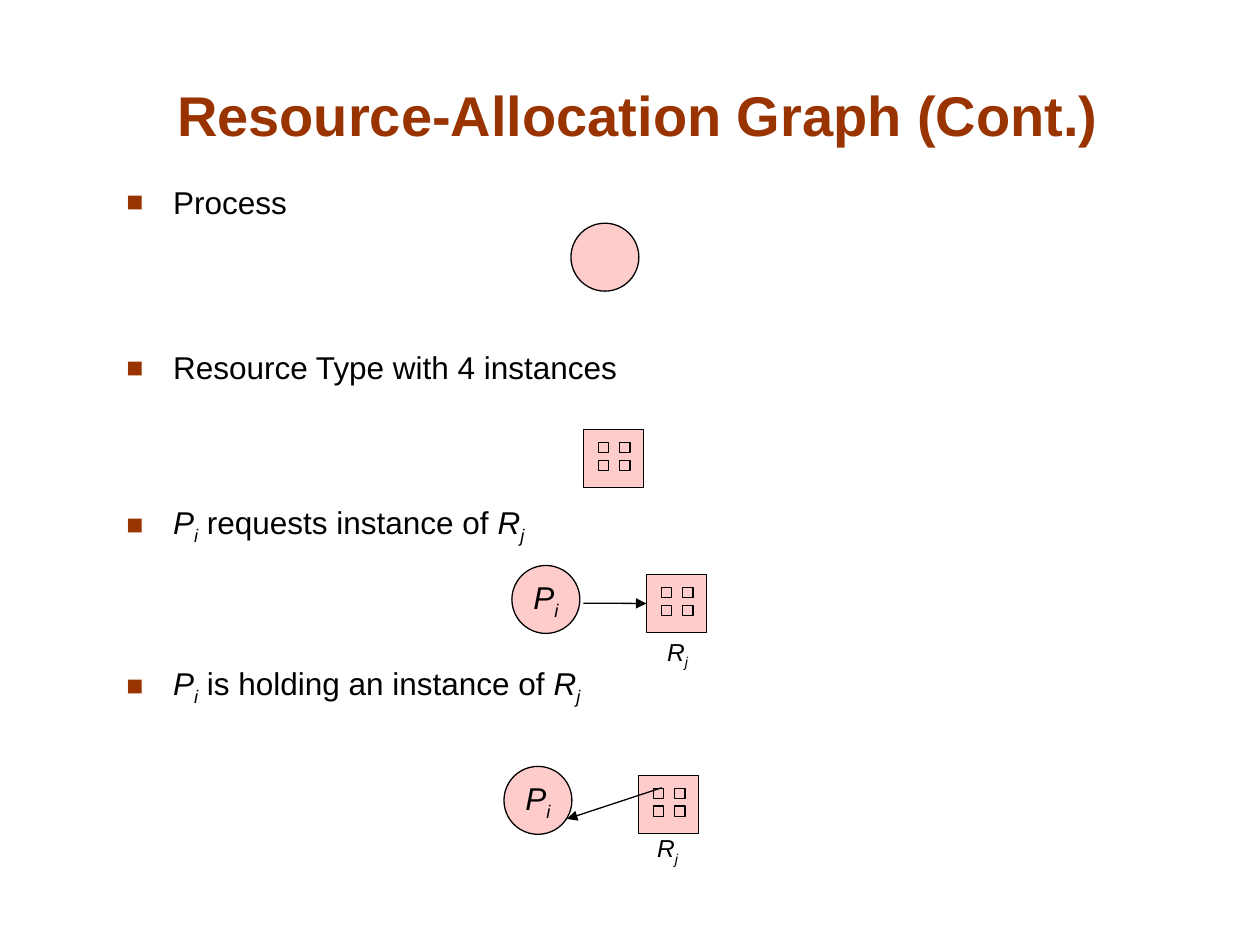
from lxml import etree
from pptx import Presentation
from pptx import util as u
from pptx.dml.color import RGBColor
from pptx.enum import shapes, text
from pptx.oxml import ns

COLOURS = {"title": "993300", "ink": "000000", "node": "FFCCCC"}
PROCESS = [("P", "italic"), ("i", "sub")]
RESOURCE = [("R", "italic"), ("j", "sub")]
BULLETS = [
    (0, [("Process", "")]),
    (73, [("Resource Type with 4 instances", "")]),
    (66.8, PROCESS + [(" requests instance of ", "")] + RESOURCE),
    (67.5, PROCESS + [(" is holding an instance of ", "")] + RESOURCE),
]


def colour(name):
    """Return the named colour."""
    return RGBColor.from_string(COLOURS[name])


def add_spans(para, spans, size, ink="ink", bold=False):
    """Write styled spans into a paragraph."""
    for words, style in spans:
        span = para.add_run()
        span.text = words
        span.font.name, span.font.size = "Arial", u.Pt(size)
        span.font.bold, span.font.italic = bold, style != ""
        span.font.color.rgb = colour(ink)
        if style == "sub":
            span.font._element.set("baseline", "-25000")


def add_centred(frame, spans, size):
    """Centre unwrapped spans in a text frame."""
    frame.word_wrap = False
    frame.vertical_anchor = text.MSO_ANCHOR.MIDDLE
    frame.paragraphs[0].alignment = text.PP_ALIGN.CENTER
    add_spans(frame.paragraphs[0], spans, size)


def add_node(parent, kind, left, top, width, height):
    """Add an outlined pink shape."""
    node = parent.add_shape(kind, u.Cm(left), u.Cm(top), u.Cm(width), u.Cm(height))
    node.shadow.inherit = False
    node.fill.solid()
    node.fill.fore_color.rgb = colour("node")
    node.line.color.rgb = colour("ink")
    node.line.width = u.Pt(0.75)
    return node


def add_process(page, left, top, spans=()):
    """Draw a process circle with an optional name."""
    circle = add_node(page.shapes, shapes.MSO_SHAPE.OVAL, left, top, 1.37, 1.37)
    add_centred(circle.text_frame, spans, 18)


def add_resource(page, left, top):
    """Draw a resource square with four instances and return its frame."""
    group = page.shapes.add_group_shape()
    square = shapes.MSO_SHAPE.RECTANGLE
    frame = add_node(group.shapes, square, left, top, 1.22, 1.17)
    for row in range(2):
        for column in range(2):
            add_node(group.shapes, square, left + 0.3 + 0.43 * column,
                     top + 0.26 + 0.36 * row, 0.21, 0.21)
    return frame


def add_arrow(page, start, end):
    """Draw a thin arrow between two points."""
    points = [u.Cm(value) for value in start + end]
    arrow = page.shapes.add_connector(shapes.MSO_CONNECTOR.STRAIGHT, *points)
    arrow.line.color.rgb = colour("ink")
    arrow.line.width = u.Pt(0.75)
    etree.SubElement(arrow.line._get_or_add_ln(), ns.qn("a:tailEnd"), type="triangle")
    etree.SubElement(arrow._element.spPr, ns.qn("a:effectLst"))
    return arrow


def add_pair(page, left, top, label_left, label_top):
    """Draw a process beside a labelled resource and return the resource frame."""
    add_process(page, left, top, PROCESS)
    frame = add_resource(page, left + 2.71, top + 0.18)
    label = page.shapes.add_textbox(u.Cm(left + label_left), u.Cm(top + label_top),
                                    u.Cm(1.3), u.Cm(0.94))
    add_centred(label.text_frame, RESOURCE, 14)
    return frame


def add_request(page, left, top):
    """Draw a process requesting a resource."""
    frame = add_pair(page, left, top, 2.69, 1.3)
    arrow = add_arrow(page, (left + 1.44, top + 0.76), (left + 2.71, top + 0.76))
    arrow.end_connect(frame, 1)


def add_holding(page, left, top):
    """Draw a process holding a resource instance."""
    add_pair(page, left, top, 2.65, 1.22)
    add_arrow(page, (left + 3.18, top + 0.43), (left + 1.27, top + 1.06))


def add_title(page, left, top, width, height):
    """Write the slide title."""
    box = page.shapes.add_textbox(u.Cm(left), u.Cm(top), u.Cm(width), u.Cm(height))
    frame = box.text_frame
    frame.word_wrap = True
    frame.vertical_anchor = text.MSO_ANCHOR.BOTTOM
    para = frame.paragraphs[0]
    para.alignment = text.PP_ALIGN.CENTER
    add_spans(para, [("Resource-Allocation Graph (Cont.)", "")], 32, "title", True)


def add_bullets(page, left, top, width, height):
    """Write the bulleted list."""
    box = page.shapes.add_textbox(u.Cm(left), u.Cm(top), u.Cm(width), u.Cm(height))
    frame = box.text_frame
    frame.word_wrap = True
    for index, (gap, spans) in enumerate(BULLETS):
        para = frame.add_paragraph() if index else frame.paragraphs[0]
        props = para._p.get_or_add_pPr()
        props.set("marL", str(u.Cm(0.94)))
        props.set("indent", str(-u.Cm(0.94)))
        tint = etree.SubElement(props, ns.qn("a:buClr"))
        etree.SubElement(tint, ns.qn("a:srgbClr"), val=COLOURS["title"])
        etree.SubElement(props, ns.qn("a:buSzPct"), val="90000")
        etree.SubElement(props, ns.qn("a:buFont"), typeface="Arial")
        etree.SubElement(props, ns.qn("a:buChar"), char="■")
        para.space_before = u.Pt(gap)
        add_spans(para, spans, 18)


def main():
    """Build and save the slide."""
    deck = Presentation()
    deck.slide_width, deck.slide_height = u.Cm(25.4), u.Cm(19.05)
    page = deck.slides.add_slide(deck.slide_layouts[6])
    add_title(page, 1.65, 1.4, 22.43, 1.7)
    add_bullets(page, 2.3, 3.56, 20.42, 12.32)
    add_process(page, 11.51, 4.5)
    add_resource(page, 11.76, 8.66)
    add_request(page, 10.32, 11.4)
    add_holding(page, 10.16, 15.45)
    deck.save("out.pptx")


if __name__ == "__main__":
    main()
